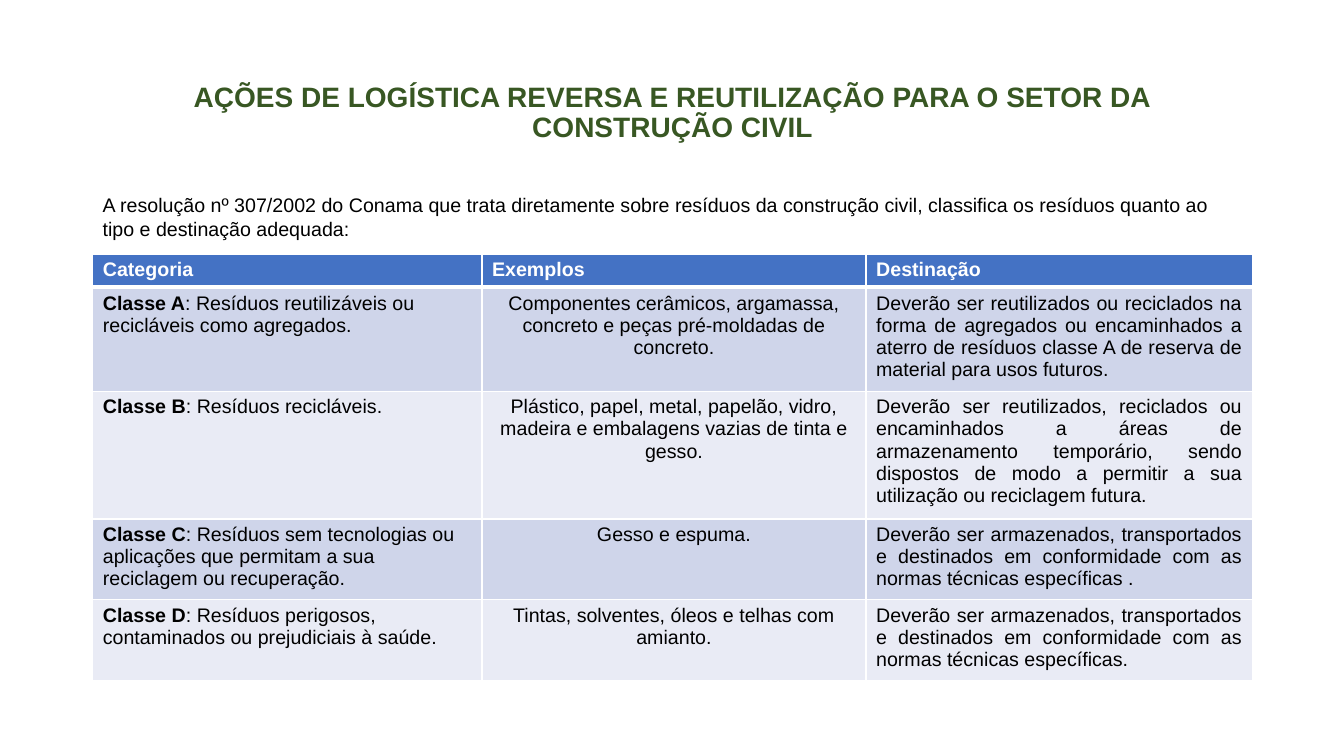
from lxml import etree
from pptx import Presentation
from pptx.dml.color import RGBColor
from pptx.enum.text import MSO_ANCHOR, MSO_AUTO_SIZE, PP_ALIGN
from pptx.oxml.ns import qn
from pptx.util import Inches, Pt

LEFT, CENTER, JUSTIFY = PP_ALIGN.LEFT, PP_ALIGN.CENTER, PP_ALIGN.JUSTIFY
MIDDLE = MSO_ANCHOR.MIDDLE
NO_FIT = MSO_AUTO_SIZE.NONE
TITLE_ONLY = 5

COLORS = {
    "title": "385723",
    "text": "000000",
    "white": "FFFFFF",
    "header": "4472C4",
    "odd_row": "CFD5EA",
    "even_row": "E9EBF5",
}
FONT = "Arial"

TITLE_LINES = [
    "AÇÕES DE LOGÍSTICA REVERSA E REUTILIZAÇÃO PARA O SETOR DA",
    "CONSTRUÇÃO CIVIL",
]
INTRO = (
    "A resolução nº 307/2002 do Conama que trata diretamente sobre resíduos da "
    "construção civil, classifica os resíduos quanto ao tipo e destinação adequada:"
)
HEADERS = ["Categoria", "Exemplos", "Destinação"]
CLASSES = [
    ("Classe A", ": Resíduos reutilizáveis ou recicláveis como agregados.",
     "Componentes cerâmicos, argamassa, concreto e peças pré-moldadas de concreto.",
     "Deverão ser reutilizados ou reciclados na forma de agregados ou encaminhados "
     "a aterro de resíduos classe A de reserva de material para usos futuros."),
    ("Classe B", ": Resíduos recicláveis.",
     "Plástico, papel, metal, papelão, vidro, madeira e embalagens vazias de tinta e gesso.",
     "Deverão ser reutilizados, reciclados ou encaminhados a áreas de armazenamento "
     "temporário, sendo dispostos de modo a permitir a sua utilização ou reciclagem futura."),
    ("Classe C", ": Resíduos sem tecnologias ou aplicações que permitam a sua "
     "reciclagem ou recuperação.",
     "Gesso e espuma.",
     "Deverão ser armazenados, transportados e destinados em conformidade com as "
     "normas técnicas específicas ."),
    ("Classe D", ": Resíduos perigosos, contaminados ou prejudiciais à saúde.",
     "Tintas, solventes, óleos e telhas com amianto.",
     "Deverão ser armazenados, transportados e destinados em conformidade com as "
     "normas técnicas específicas."),
]
COLUMN_WIDTHS = [3.86, 3.81, 3.83]
ROW_HEIGHTS = [0.33, 1.03, 1.27, 0.8, 0.8]


def add_run(paragraph, text, color="text", size=14, bold=False):
    run = paragraph.add_run()
    run.text = text
    run.font.name = FONT
    run.font.size = Pt(size)
    run.font.bold = bold
    run.font.color.rgb = RGBColor.from_string(COLORS[color])


def add_title(slide, left, top, width, height):
    title = slide.shapes.title
    title.left, title.top = Inches(left), Inches(top)
    title.width, title.height = Inches(width), Inches(height)
    frame = title.text_frame
    frame.word_wrap = True
    frame.auto_size = NO_FIT
    frame.vertical_anchor = MIDDLE
    paragraph = frame.paragraphs[0]
    paragraph.alignment = CENTER
    paragraph.line_spacing = 0.9
    for index, line in enumerate(TITLE_LINES):
        if index:
            paragraph.add_line_break()
        add_run(paragraph, line, "title", 20, True)


def add_intro(slide, left, top, width, height):
    intro = slide.shapes.add_textbox(Inches(left), Inches(top), Inches(width), Inches(height))
    intro.text_frame.word_wrap = True
    paragraph = intro.text_frame.paragraphs[0]
    paragraph.line_spacing = 1.05
    add_run(paragraph, INTRO)


def style_cell(cell, fill, bottom_width):
    # Borders come before the fill in the cell properties
    properties = cell._tc.get_or_add_tcPr()
    for side, width in (("L", 1), ("R", 1), ("T", 1), ("B", bottom_width)):
        border = etree.SubElement(properties, qn(f"a:ln{side}"), w=str(Pt(width)))
        paint = etree.SubElement(border, qn("a:solidFill"))
        etree.SubElement(paint, qn("a:srgbClr"), val=COLORS["white"])
    cell.fill.solid()
    cell.fill.fore_color.rgb = RGBColor.from_string(COLORS[fill])


def fill_cell(cell, runs, alignment, fill, color="text", bottom_width=1):
    style_cell(cell, fill, bottom_width)
    paragraph = cell.text_frame.paragraphs[0]
    paragraph.alignment = alignment
    for text, bold in runs:
        add_run(paragraph, text, color, bold=bold)


def add_waste_table(slide, left, top):
    table = slide.shapes.add_table(
        len(ROW_HEIGHTS), len(COLUMN_WIDTHS), Inches(left), Inches(top),
        Inches(sum(COLUMN_WIDTHS)), Inches(sum(ROW_HEIGHTS)),
    ).table
    for column, width in zip(table.columns, COLUMN_WIDTHS):
        column.width = Inches(width)
    for row, height in zip(table.rows, ROW_HEIGHTS):
        row.height = Inches(height)

    # Header row
    for index, header in enumerate(HEADERS):
        fill_cell(table.cell(0, index), [(header, True)], LEFT, "header", "white", 3)

    # One row per waste class
    for row, (name, description, examples, destination) in enumerate(CLASSES, 1):
        fill = "odd_row" if row % 2 else "even_row"
        fill_cell(table.cell(row, 0), [(name, True), (description, False)], LEFT, fill)
        fill_cell(table.cell(row, 1), [(examples, False)], CENTER, fill)
        fill_cell(table.cell(row, 2), [(destination, False)], JUSTIFY, fill)


def main():
    presentation = Presentation()
    presentation.slide_width = Inches(13.33)
    presentation.slide_height = Inches(7.5)
    slide = presentation.slides.add_slide(presentation.slide_layouts[TITLE_ONLY])
    left, width = 0.92, 11.5
    add_title(slide, left, 0.4, width, 1.45)
    add_waste_table(slide, left, 2.52)
    add_intro(slide, left, 1.85, width, 0.57)
    presentation.save("out.pptx")


if __name__ == "__main__":
    main()
